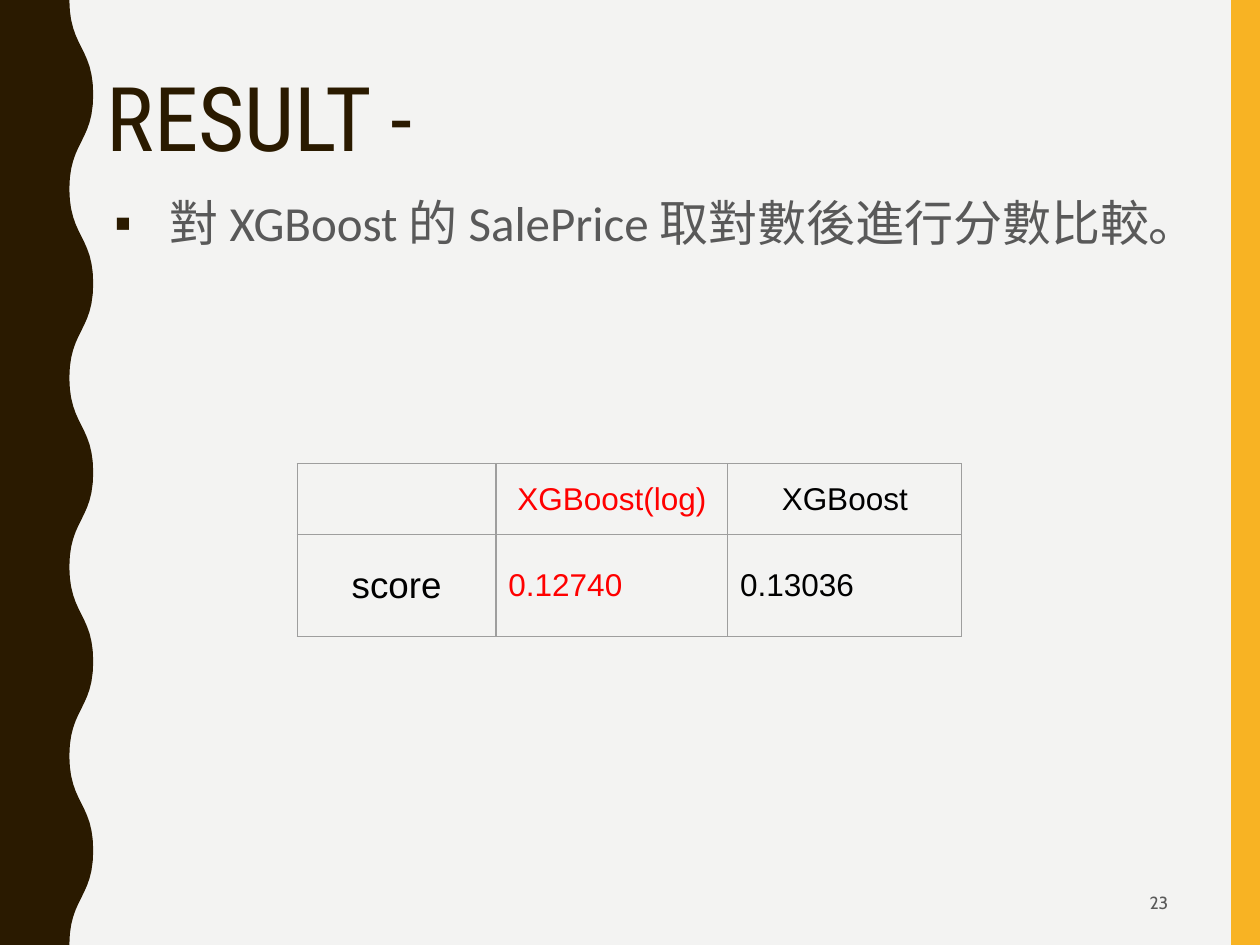
import pptx
import pptx.dml.color
import pptx.enum.shapes
import pptx.enum.text
import pptx.oxml
import pptx.oxml.ns
import pptx.util

Cm = pptx.util.Cm
Pt = pptx.util.Pt
ALIGN = pptx.enum.text.PP_ALIGN
ANCHOR = pptx.enum.text.MSO_ANCHOR
NS = pptx.oxml.ns.nsdecls("a")

BROWN, GOLD, GREY = "2A1A00", "F8B323", "595959"
RED, BLACK, BORDER, PAPER = "FF0000", "000000", "9E9E9E", "F3F3F2"
WIDTH, HEIGHT = 25.4, 19.05


def rgb(value):
    return pptx.dml.color.RGBColor.from_string(value)


def apply(target, formats):
    for name, value in formats.items():
        setattr(target, name, value)


def paint(s, color):
    s.shadow.inherit = False
    s.fill.solid()
    s.fill.fore_color.rgb = rgb(color)
    s.line.fill.background()


def write(tf, text, font, size, color, **formats):
    p = tf.paragraphs[0]
    apply(p, formats)
    r = p.add_run()
    r.text = text
    apply(r.font, {"name": font, "size": Pt(size)})
    r.font.color.rgb = rgb(color)
    return p


def place(sp, left, top, width, height, anchor):
    apply(sp, {"left": Cm(left), "top": Cm(top),
               "width": Cm(width), "height": Cm(height)})
    apply(sp.text_frame, {"word_wrap": True, "vertical_anchor": anchor,
                          "auto_size": pptx.enum.text.MSO_AUTO_SIZE.NONE})
    return sp.text_frame


def add_bar(s):
    sp = s.shapes.add_shape(pptx.enum.shapes.MSO_SHAPE.RECTANGLE,
                            Cm(24.82), 0, Cm(0.58), Cm(HEIGHT))
    paint(sp, GOLD)


def add_wave(s, inner=1.4, outer=1.88, bends=10, steps=12):
    bend = HEIGHT / bends
    points = []
    for i in range(bends):
        start, end = (inner, outer) if i % 2 == 0 else (outer, inner)
        for step in range(1, steps + 1):
            t = step / steps
            x = start + (end - start) * (3 * t**2 - 2 * t**3)
            y = bend * (i + 1.5 * t * (1 - t) + t**3)
            points.append((Cm(x), Cm(y)))
    builder = s.shapes.build_freeform(Cm(inner), 0)
    builder.add_line_segments(points + [(0, Cm(HEIGHT)), (0, 0)], close=True)
    paint(builder.convert_to_shape(), BROWN)


def add_bullet(p, char, color):
    pPr = p._p.get_or_add_pPr()
    apply_indent = {"marL": Cm(1.27), "indent": Cm(-1.12)}
    for name, value in apply_indent.items():
        pPr.set(name, str(value))
    for xml in (f'<a:buClr {NS}><a:srgbClr val="{color}"/></a:buClr>',
                f'<a:buFont {NS} typeface="Arial"/>',
                f'<a:buChar {NS} char="{char}"/>'):
        pPr.append(pptx.oxml.parse_xml(xml))


def format_cell(cell):
    apply(cell, {"vertical_anchor": ANCHOR.MIDDLE,
                 "margin_left": Cm(0.25), "margin_right": Cm(0.25),
                 "margin_top": Cm(0.25), "margin_bottom": Cm(0.25)})
    tcPr = cell._tc.get_or_add_tcPr()
    for side in ("lnL", "lnR", "lnT", "lnB"):
        tcPr.append(pptx.oxml.parse_xml(
            f'<a:{side} {NS} w="{Pt(0.75)}"><a:solidFill>'
            f'<a:srgbClr val="{BORDER}"/></a:solidFill></a:{side}>'))
    cell.fill.background()


def add_score_table(s):
    widths, heights = (4.01, 4.67, 4.72), (1.42, 2.06)
    rows = [
        [None, ("XGBoost(log)", 18, RED, ALIGN.CENTER),
         ("XGBoost", 18, BLACK, ALIGN.CENTER)],
        [("score", 21, BLACK, ALIGN.CENTER),
         ("0.12740", 18, RED, ALIGN.LEFT), ("0.13036", 18, BLACK, ALIGN.LEFT)],
    ]
    table = s.shapes.add_table(len(heights), len(widths), Cm(5.99), Cm(9.35),
                               Cm(sum(widths)), Cm(sum(heights))).table
    apply(table, {"first_row": False, "horz_banding": False})
    for column, width in zip(table.columns, widths):
        column.width = Cm(width)
    for row, height, items in zip(table.rows, heights, rows):
        row.height = Cm(height)
        for cell, item in zip(row.cells, items):
            format_cell(cell)
            if item:
                text, size, color, alignment = item
                write(cell.text_frame, text, "Arial", size, color,
                      alignment=alignment)


def main():
    prs = pptx.Presentation()
    apply(prs, {"slide_width": Cm(WIDTH), "slide_height": Cm(HEIGHT)})
    s = prs.slides.add_slide(prs.slide_layouts[1])
    s.background.fill.solid()
    s.background.fill.fore_color.rgb = rgb(PAPER)
    add_bar(s)
    add_wave(s)

    tf = place(s.shapes.title, 1.9, 1.35, 21.6, 2.24, ANCHOR.MIDDLE)
    write(tf, "RESULT -", "Roboto Condensed", 51, BROWN,
          alignment=ALIGN.LEFT, line_spacing=0.9)

    tf = place(s.placeholders[1], 1.9, 3.58, 22.8, 13.23, ANCHOR.TOP)
    p = write(tf, "對 XGBoost 的 SalePrice 取對數後進行分數比較。", "Calibri", 28,
              GREY, line_spacing=1.15, space_before=Pt(7.5))
    add_bullet(p, "▪", BROWN)

    tf = place(s.shapes.add_textbox(0, 0, 0, 0), 17.93, 17.7, 5.87, 0.97,
               ANCHOR.MIDDLE)
    write(tf, "23", "Cabin", 10, GREY, alignment=ALIGN.RIGHT)

    add_score_table(s)
    prs.save("out.pptx")


if __name__ == "__main__":
    main()
